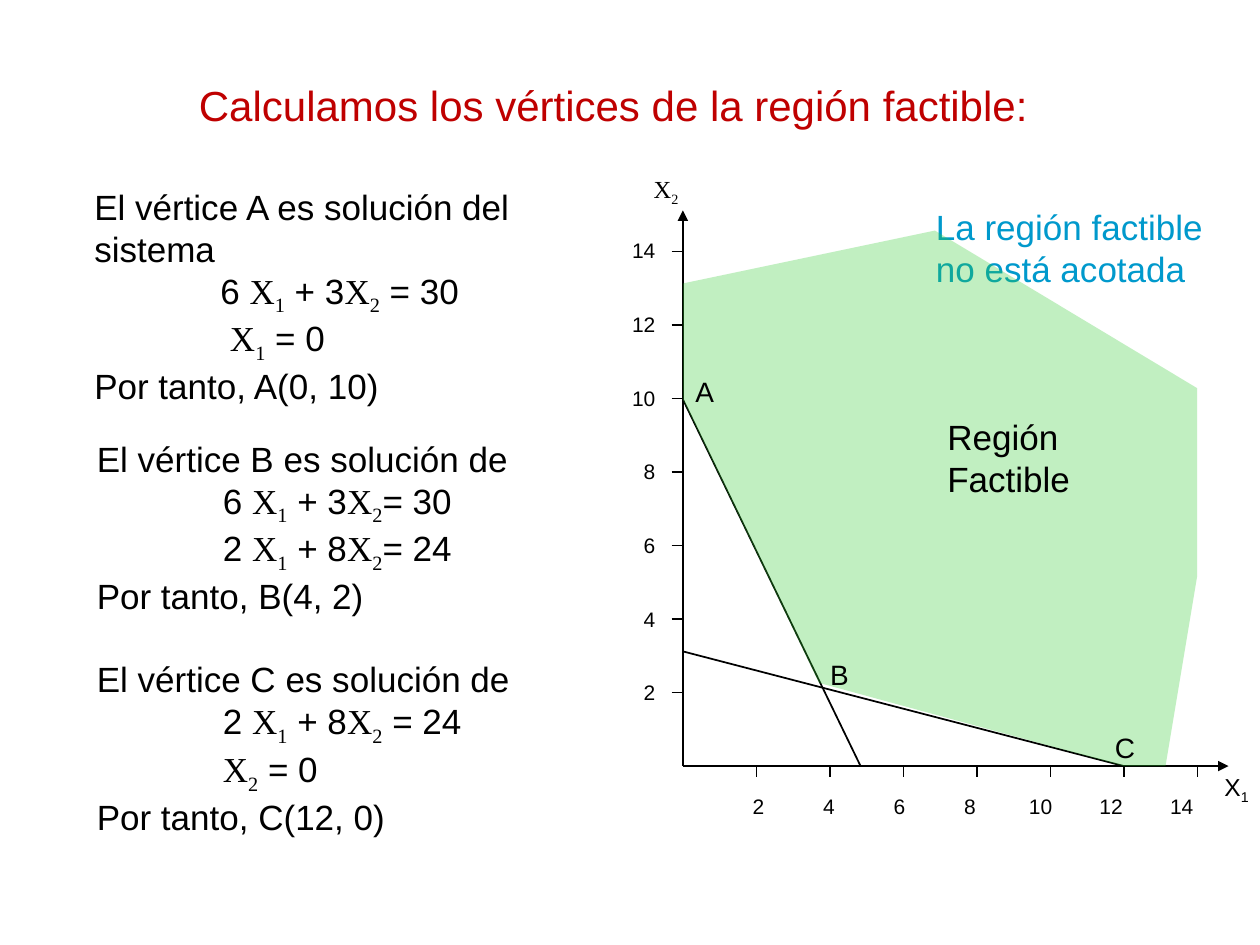
from lxml.etree import SubElement
from pptx import Presentation
from pptx.dml.color import RGBColor
from pptx.enum.shapes import MSO_CONNECTOR
from pptx.enum.text import PP_ALIGN
from pptx.oxml.ns import qn
from pptx.util import Inches, Pt

COLORS = {"text": "000000", "title": "BF0000", "note": "0099CC", "region": "33CC33"}
SANS, SERIF = "Arial", "Times New Roman"
ORIGIN_X, ORIGIN_Y = 5.42, 6.08
TICK_STEP, TICK_LENGTH = 3.5 / 6, 0.09
TICK_VALUES = range(2, 15, 2)

REGION_POINTS = [
    (8.92, 6.08), (6.5, 5.42), (5.42, 3.17), (5.42, 2.25),
    (7.42, 1.83), (9.5, 3.08), (9.5, 4.58), (9.25, 6.08),
]
CONSTRAINTS = [((5.42, 3.17), (6.83, 6.08)), ((5.42, 5.17), (8.92, 6.08))]
VERTICES = [("A", 5.42, 2.92), ("B", 6.49, 5.17), ("C", 8.75, 5.75)]
SOLUTIONS = [
    (0.65, 1.42, 1.86, ["El vértice A es solución del sistema",
                        "\t6 X1 + 3X2 = 30", "\t X1 = 0", "Por tanto, A(0, 10)"]),
    (0.67, 3.42, 1.53, ["El vértice B es solución de",
                        "\t6 X1 + 3X2= 30", "\t2 X1 + 8X2= 24", "Por tanto, B(4, 2)"]),
    (0.67, 5.17, 1.53, ["El vértice C es solución de",
                        "\t2 X1 + 8X2 = 24", "\tX2 = 0", "Por tanto, C(12, 0)"]),
]


def add_run(paragraph, text, size, color, font_name=SANS, subscript=False):
    if not text:
        return
    run = paragraph.add_run()
    run.text = text
    run.font.size = Pt(size)
    run.font.name = font_name
    run.font.color.rgb = RGBColor.from_string(COLORS[color])
    if subscript:
        run.font._element.set("baseline", "-25000")


def add_math_runs(paragraph, text, size, color, variable_font):
    """Set each X in the variable font, with the digit after it as a subscript."""
    start, *terms = text.split("X")
    add_run(paragraph, start, size, color)
    for term in terms:
        add_run(paragraph, "X", size, color, variable_font)
        add_run(paragraph, term[0], size, color, variable_font, subscript=True)
        add_run(paragraph, term[1:], size, color)


def add_tab_stops(paragraph, positions, alignment):
    tabs = SubElement(paragraph._p.get_or_add_pPr(), qn("a:tabLst"))
    for position in positions:
        SubElement(tabs, qn("a:tab"), pos=str(Inches(position)), algn=alignment)


def add_text(shapes, box, lines, size, color="text", variable_font=SERIF):
    frame = shapes.add_textbox(*map(Inches, box)).text_frame
    frame.word_wrap = True
    for index, line in enumerate(lines):
        paragraph = frame.add_paragraph() if index else frame.paragraphs[0]
        add_math_runs(paragraph, line, size, color, variable_font)
    return frame


def add_line(shapes, start, end, arrow=False):
    line = shapes.add_connector(MSO_CONNECTOR.STRAIGHT, *map(Inches, (*start, *end)))
    line.line.width = Pt(1)
    line.line.color.rgb = RGBColor.from_string(COLORS["text"])
    if arrow:
        SubElement(line.line._get_or_add_ln(), qn("a:tailEnd"), type="triangle")
    SubElement(line._element.spPr, qn("a:effectLst"))


def add_tick_labels(shapes):
    frame = add_text(shapes, (5.83, 6.25, 3.85, 0.3),
                     ["".join(f"\t{value}" for value in TICK_VALUES)], 12)
    positions = [0.09 + 0.56 * index for index in range(len(TICK_VALUES))]
    add_tab_stops(frame.paragraphs[0], positions, "ctr")

    frame = add_text(shapes, (4.8, 1.84, 0.5, 3.8), map(str, reversed(TICK_VALUES)), 12)
    for index, paragraph in enumerate(frame.paragraphs):
        paragraph.alignment = PP_ALIGN.RIGHT
        if index:
            paragraph.space_before = Pt(27.7)


def add_axes(shapes):
    origin = (ORIGIN_X, ORIGIN_Y)
    add_line(shapes, origin, (ORIGIN_X, 1.67), arrow=True)
    add_line(shapes, origin, (9.75, ORIGIN_Y), arrow=True)
    for index in range(1, len(TICK_VALUES) + 1):
        x = ORIGIN_X + TICK_STEP * index
        y = ORIGIN_Y - TICK_STEP * index
        add_line(shapes, (x, ORIGIN_Y), (x, ORIGIN_Y + TICK_LENGTH))
        add_line(shapes, (ORIGIN_X - TICK_LENGTH, y), (ORIGIN_X, y))
    add_text(shapes, (9.62, 6.08, 0.5, 0.37), ["X1"], 14, variable_font=SANS)
    add_text(shapes, (5.09, 1.33, 0.5, 0.37), ["X2"], 14)
    add_tick_labels(shapes)


def add_region(shapes):
    first, *others = [(Inches(x), Inches(y)) for x, y in REGION_POINTS]
    builder = shapes.build_freeform(*first)
    builder.add_line_segments(others, close=True)
    region = builder.convert_to_shape()
    region.shadow.inherit = False
    region.line.fill.background()
    region.fill.solid()
    region.fill.fore_color.rgb = RGBColor.from_string(COLORS["region"])
    fill_color = region._element.spPr.find(f"{qn('a:solidFill')}/{qn('a:srgbClr')}")
    SubElement(fill_color, qn("a:alpha"), val="30000")


def add_solution(shapes, left, top, height, lines):
    frame = add_text(shapes, (left, top, 3.6, height), lines, 20)
    for paragraph in frame.paragraphs:
        add_tab_stops(paragraph, [1], "l")


def main():
    presentation = Presentation()
    presentation.slide_width, presentation.slide_height = Inches(10), Inches(7.5)
    slide = presentation.slides.add_slide(presentation.slide_layouts[6])
    shapes = slide.shapes

    add_axes(shapes.add_group_shape().shapes)
    add_text(shapes, (7.33, 1.58, 2.43, 0.77),
             ["La región factible", "no está acotada"], 20, "note")
    for start, end in CONSTRAINTS:
        add_line(shapes, start, end)
    add_region(shapes)
    add_text(shapes, (7.42, 3.25, 1.3, 0.77), ["Región", "Factible"], 20)
    add_text(shapes, (1.48, 0.58, 6.85, 0.5),
             ["Calculamos los vértices de la región factible:"], 24, "title")
    for name, left, top in VERTICES:
        add_text(shapes, (left, top, 0.4, 0.37), [name], 16)
    for solution in SOLUTIONS:
        add_solution(shapes, *solution)

    presentation.save("out.pptx")


if __name__ == "__main__":
    main()
